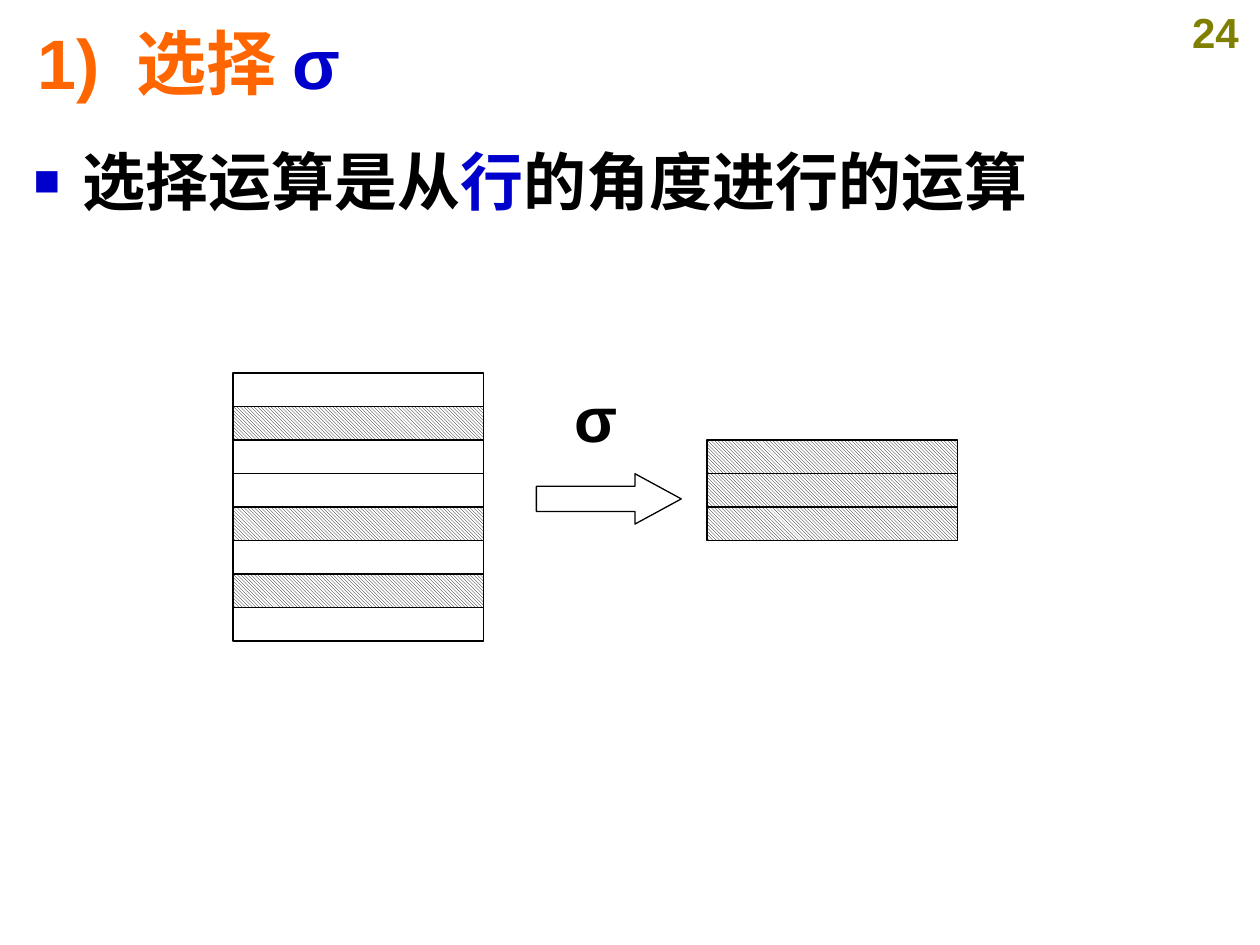
from pptx import Presentation
from pptx.dml.color import RGBColor
from pptx.enum import dml, shapes, text
from pptx.oxml import parse_xml
from pptx.oxml.ns import nsdecls
from pptx.util import Pt

BLACK = RGBColor(0, 0, 0)
WHITE = RGBColor(255, 255, 255)
BLUE = RGBColor(0, 0, 0xCC)
ORANGE = RGBColor(0xFF, 0x66, 0)
OLIVE = RGBColor(0x80, 0x80, 0)

PAGE = [("24", OLIVE)]
TITLE = [("1)\t选择 ", ORANGE), ("σ", BLUE)]
BODY = [("选择运算是从", BLACK), ("行", BLUE), ("的角度进行的运算", BLACK)]
SYMBOL = [("σ", BLACK)]

SOURCE_ROWS = [False, True, False, False, True, False, True, False]
RESULT_ROWS = [row for row in SOURCE_ROWS if row]
SOURCE_LEFT, RESULT_LEFT = 133.2, 404
TOP, ROW_W, ROW_H = 213.1, 143.2, 19.15
RESULT_TOP = TOP + 2 * ROW_H


def add_text(parent, box, runs, size, font="Arial", align=None, anchor=None):
    tb = parent.add_textbox(*map(Pt, box))
    tf = tb.text_frame
    tf.word_wrap = True
    tf.vertical_anchor = anchor
    p = tf.paragraphs[0]
    p.alignment = align
    for words, color in runs:
        r = p.add_run()
        r.text = words
        r.font.name = font
        r.font.size = Pt(size)
        r.font.bold = True
        r.font.color.rgb = color
    return p


def add_outlined(parent, kind, box):
    sp = parent.add_shape(kind, *map(Pt, box))
    sp.shadow.inherit = False
    sp.fill.solid()
    sp.fill.fore_color.rgb = WHITE
    sp.line.color.rgb = BLACK
    sp.line.width = Pt(0.75)
    return sp


def add_rows(parent, left, top, rows):
    for i, selected in enumerate(rows):
        box = (left, top + i * ROW_H, ROW_W, ROW_H)
        sp = add_outlined(parent, shapes.MSO_SHAPE.RECTANGLE, box)
        if selected:
            sp.fill.patterned()
            sp.fill.pattern = dml.MSO_PATTERN.LIGHT_DOWNWARD_DIAGONAL
            sp.fill.fore_color.rgb = BLACK
            sp.fill.back_color.rgb = WHITE


prs = Presentation()
prs.slide_width, prs.slide_height = Pt(720), Pt(540)
s = prs.slides.add_slide(prs.slide_layouts[6])

center, middle = text.PP_ALIGN.CENTER, text.MSO_ANCHOR.MIDDLE
add_text(s.shapes, (669, 0, 51, 36), PAGE, 24, align=center)

title = add_text(s.shapes, (14.4, 15.1, 682, 39.6), TITLE, 40, anchor=middle)
title._p.get_or_add_pPr().append(parse_xml(
    f'<a:tabLst {nsdecls("a")}><a:tab pos="{Pt(56.5)}" algn="l"/></a:tabLst>'))

body = add_text(s.shapes, (12.2, 77.8, 697, 439), BODY, 36,
                "Times New Roman", text.PP_ALIGN.JUSTIFY)
pPr = body._p.get_or_add_pPr()
pPr.set("marL", str(Pt(28)))
pPr.set("indent", str(Pt(-28)))
for bullet in (f'<a:buClr {nsdecls("a")}><a:srgbClr val="{BLUE}"/></a:buClr>',
               f'<a:buSzPct {nsdecls("a")} val="70000"/>',
               f'<a:buFont {nsdecls("a")} typeface="Arial"/>',
               f'<a:buChar {nsdecls("a")} char="■"/>'):
    pPr.append(parse_xml(bullet))

diagram = s.shapes.add_group_shape().shapes
add_rows(diagram, SOURCE_LEFT, TOP, SOURCE_ROWS)
add_rows(diagram, RESULT_LEFT, RESULT_TOP, RESULT_ROWS)
arrow = add_outlined(diagram, shapes.MSO_SHAPE.RIGHT_ARROW,
                     (306.5, 270.7, 82.8, 28.8))
arrow.adjustments[0] = 0.5
arrow.adjustments[1] = 0.92
add_text(diagram, (306.5, TOP, 67.7, 50.4), SYMBOL, 36,
         align=center, anchor=middle)

prs.save("out.pptx")
